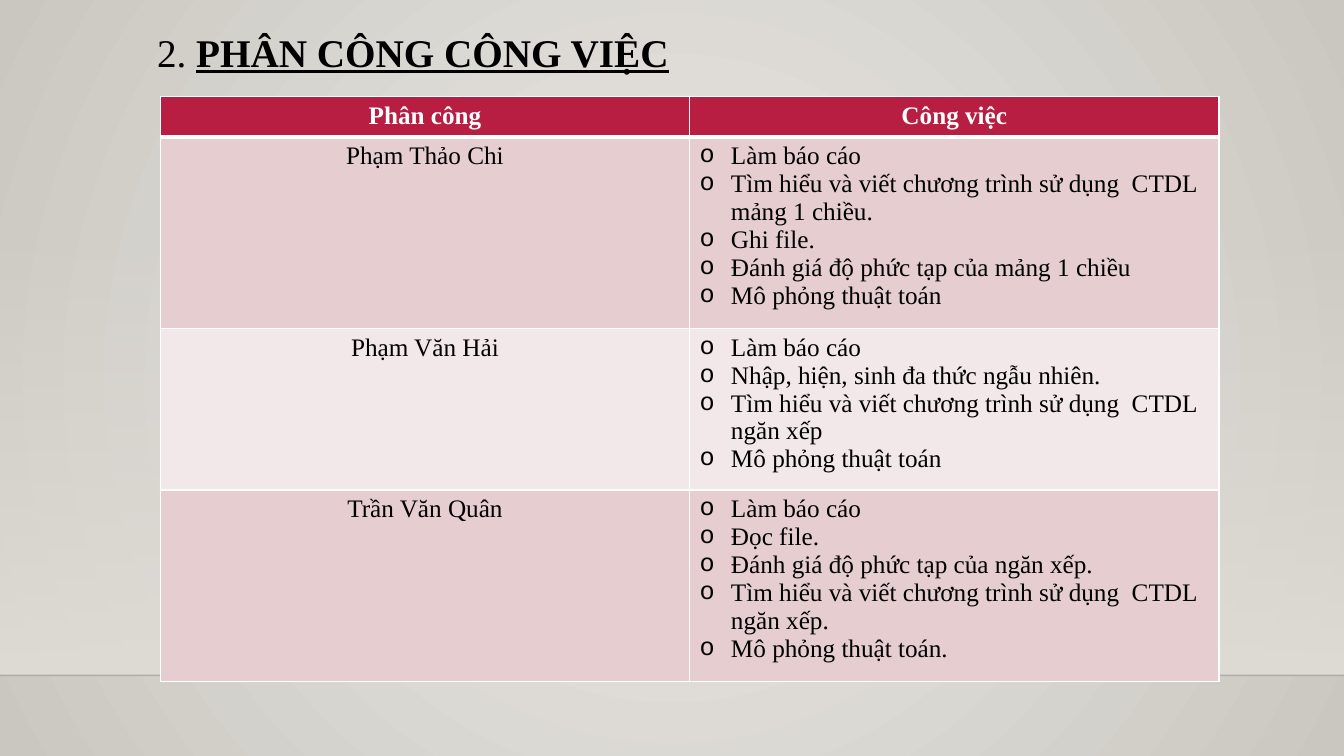
"""Build the work assignment slide with its title, backdrop and table."""
import lxml.etree
import pptx
import pptx.dml.color
import pptx.enum.shapes
import pptx.enum.text
import pptx.oxml.ns
import pptx.util

WIDTH, HEIGHT = 13.33, 7.5
FONT = "Times New Roman"
TABLE_LEFT, TABLE_TOP, COL_WIDTH = 1.59, 0.96, 5.25
ROW_HEIGHTS = (0.37, 1.75, 1.48, 1.75)
FLOOR_TOP, FLOOR_LINE = 2.21, 6.7
INDENT = 0.31
HEADINGS = ("Phân công", "Công việc")
ASSIGNMENTS = (
    ("Phạm Thảo Chi", (
        "Làm báo cáo",
        "Tìm hiểu và viết chương trình sử dụng  CTDL mảng 1 chiều.",
        "Ghi file.",
        "Đánh giá độ phức tạp của mảng 1 chiều",
        "Mô phỏng thuật toán")),
    ("Phạm Văn Hải", (
        "Làm báo cáo",
        "Nhập, hiện, sinh đa thức ngẫu nhiên.",
        "Tìm hiểu và viết chương trình sử dụng  CTDL ngăn xếp",
        "Mô phỏng thuật toán")),
    ("Trần Văn Quân", (
        "Làm báo cáo",
        "Đọc file.",
        "Đánh giá độ phức tạp của ngăn xếp.",
        "Tìm hiểu và viết chương trình sử dụng  CTDL ngăn xếp.",
        "Mô phỏng thuật toán.")),
)


def rgb(value):
    return pptx.dml.color.RGBColor.from_string(value)


def inches(*values):
    return [pptx.util.Inches(v) for v in values]


def add_xml(parent, tag, **attributes):
    child = lxml.etree.SubElement(parent, pptx.oxml.ns.qn(tag))
    for name, value in attributes.items():
        child.set(name, str(value))
    return child


def find(element, tag):
    return element.find(".//" + pptx.oxml.ns.qn(tag))


def set_gradient(fill, *colors):
    fill.gradient()
    for stop, color in zip(fill.gradient_stops, colors):
        stop.color.rgb = rgb(color)


def set_font(p, size, color, bold=None):
    p.font.name, p.font.size = FONT, pptx.util.Pt(size)
    p.font.color.rgb = rgb(color)
    p.font.bold = bold


def paint_background(s):
    set_gradient(s.background.fill, "ECEAE7", "CAC7C1")
    gradient = find(s.element, "a:gradFill")
    gradient.remove(find(gradient, "a:lin"))
    circle = add_xml(gradient, "a:path", path="circle")
    add_xml(circle, "a:fillToRect", l=50000, t=50000, r=50000, b=50000)


def add_floor(s):
    sp = s.shapes.add_shape(
        pptx.enum.shapes.MSO_SHAPE.RECTANGLE,
        *inches(0, FLOOR_TOP, WIDTH, FLOOR_LINE - FLOOR_TOP))
    sp.shadow.inherit = False
    sp.line.fill.background()
    set_gradient(sp.fill, "DFDBD5", "DFDBD5")
    sp.fill.gradient_angle = 270
    add_xml(find(sp.element, "a:srgbClr"), "a:alpha", val=0)

    line = s.shapes.add_connector(
        pptx.enum.shapes.MSO_CONNECTOR.STRAIGHT,
        *inches(0, FLOOR_LINE, WIDTH, FLOOR_LINE))
    line.line.width = pptx.util.Pt(1)
    line.line.color.rgb = rgb("000001")
    add_xml(find(line.element, "a:srgbClr"), "a:alpha", val=20000)
    add_xml(find(line.element, "p:spPr"), "a:effectLst")


def add_title(s, number, text):
    sp = s.shapes.add_textbox(*inches(1.46, 0.28, 10.5, 0.52))
    tf = sp.text_frame
    tf.word_wrap = True
    tf.vertical_anchor = pptx.enum.text.MSO_ANCHOR.MIDDLE
    p = tf.paragraphs[0]
    p.line_spacing = 0.9
    set_font(p, 28, "000000")
    p.add_run().text = number
    r = p.add_run()
    r.text = text
    r.font.bold = r.font.underline = True


def style_cell(cell, color, top=1, bottom=1):
    tc_pr = cell._tc.get_or_add_tcPr()
    for side, width in (("L", 1), ("R", 1), ("T", top), ("B", bottom)):
        border = add_xml(tc_pr, "a:ln" + side, w=pptx.util.Pt(width))
        add_xml(add_xml(border, "a:solidFill"), "a:srgbClr", val="FFFFFF")
    cell.fill.solid()
    cell.fill.fore_color.rgb = rgb(color)


def write_centred(cell, text, color, bold):
    p = cell.text_frame.paragraphs[0]
    p.text = text
    p.alignment = pptx.enum.text.PP_ALIGN.CENTER
    set_font(p, 18, color, bold)


def write_bullets(cell, items):
    tf = cell.text_frame
    for i, item in enumerate(items):
        p = tf.add_paragraph() if i else tf.paragraphs[0]
        p.text = item
        p_pr = p._p.get_or_add_pPr()
        indent = pptx.util.Inches(INDENT)
        p_pr.set("marL", str(indent))
        p_pr.set("indent", str(-indent))
        add_xml(p_pr, "a:buFont", typeface="Courier New")
        add_xml(p_pr, "a:buChar", char="o")
        set_font(p, 18, "000000", False)


def add_assignments(s):
    frame = s.shapes.add_table(
        len(ROW_HEIGHTS), len(HEADINGS),
        *inches(TABLE_LEFT, TABLE_TOP, COL_WIDTH * 2, sum(ROW_HEIGHTS)))
    table = frame.table
    for row, height in zip(table.rows, ROW_HEIGHTS):
        row.height = pptx.util.Inches(height)
    for cell, heading in zip(table.rows[0].cells, HEADINGS):
        style_cell(cell, "B71E42", bottom=3)
        write_centred(cell, heading, "FFFFFF", True)
    for i, (person, tasks) in enumerate(ASSIGNMENTS):
        name_cell, task_cell = table.rows[i + 1].cells
        for cell in (name_cell, task_cell):
            style_cell(cell, "F3E8E9" if i % 2 else "E6CDCF",
                       top=1 if i else 3)
        write_centred(name_cell, person, "000000", False)
        write_bullets(task_cell, tasks)


def main():
    prs = pptx.Presentation()
    prs.slide_width, prs.slide_height = inches(WIDTH, HEIGHT)
    s = prs.slides.add_slide(prs.slide_layouts[6])
    paint_background(s)
    add_floor(s)
    add_title(s, "2. ", "PHÂN CÔNG CÔNG VIỆC")
    add_assignments(s)
    prs.save("out.pptx")


if __name__ == "__main__":
    main()
